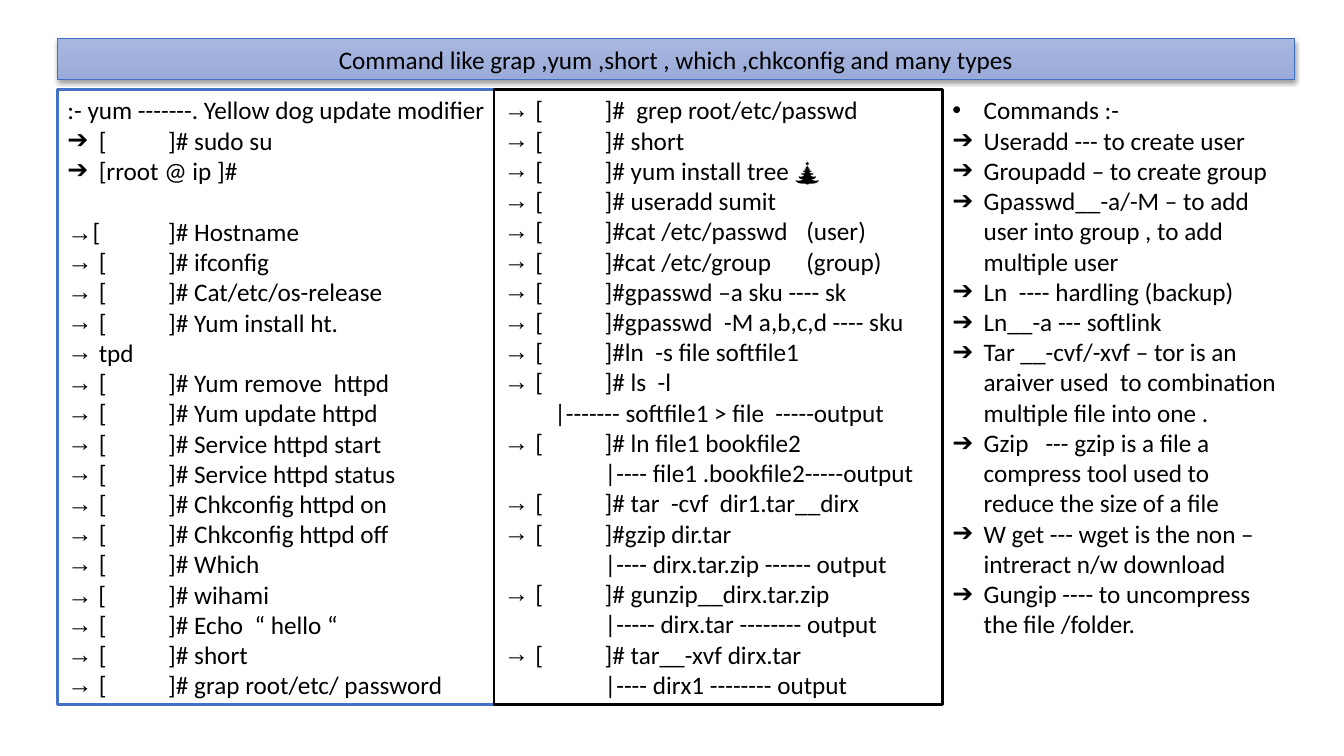
from dataclasses import dataclass

from lxml import etree
from pptx import Presentation
from pptx import util as u
from pptx.dml.color import RGBColor
from pptx.enum import shapes, text
from pptx.oxml import parse_xml
from pptx.oxml.ns import nsdecls, qn

BLACK = RGBColor(0x00, 0x00, 0x00)
WHITE = RGBColor(0xFF, 0xFF, 0xFF)
BLUE = RGBColor(0x44, 0x72, 0xC4)
BANNER_EDGE = RGBColor(0x3F, 0x6F, 0xC3)
BANNER_TOP = RGBColor(0xA8, 0xB7, 0xDF)
BANNER_BOTTOM = RGBColor(0x9A, 0xAB, 0xD9)

FONT_SIZE = u.Pt(18)
HANGING = u.Cm(0.79)
TAB_WIDTH = u.Cm(2.54)


@dataclass
class Line:
    words: str
    bullet: str = "→"
    lead: str = ""
    indent: float = 0
    gap: float = 0


def prompt(command, **options):
    return Line("[\t]#" + command, **options)


def output(words):
    return Line("\t|" + words, bullet="")


def heavy(words):
    return Line(words, bullet="➔")


SERVICE_COMMANDS = [
    Line(":- yum -------. Yellow dog update modifier", bullet=""),
    prompt(" sudo su", bullet="➔"),
    heavy("[rroot @ ip ]#"),
    prompt(" Hostname", bullet="", lead="→", gap=22),
    prompt(" ifconfig"),
    prompt(" Cat/etc/os-release"),
    prompt(" Yum install ht."),
    Line("tpd"),
    prompt(" Yum remove  httpd"),
    prompt(" Yum update httpd"),
    prompt(" Service httpd start"),
    prompt(" Service httpd status"),
    prompt(" Chkconfig httpd on"),
    prompt(" Chkconfig httpd off"),
    prompt(" Which"),
    Line(" [\t]# wihami", bullet="", lead="→"),
    prompt(" Echo  “ hello “"),
    prompt(" short"),
    prompt(" grap root/etc/ password"),
]

FILE_COMMANDS = [
    prompt("  grep root/etc/passwd"),
    prompt(" short"),
    prompt(" yum install tree 🎄"),
    prompt(" useradd sumit"),
    prompt("cat /etc/passwd \t(user)"),
    prompt("cat /etc/group \t(group)"),
    prompt("gpasswd –a sku ---- sk"),
    prompt("gpasswd  -M a,b,c,d ---- sku"),
    prompt("ln  -s file softfile1"),
    prompt(" ls  -l"),
    Line("|------- softfile1 > file  -----output", bullet="", indent=1.27),
    prompt(" ln file1 bookfile2"),
    output("---- file1 .bookfile2-----output"),
    prompt(" tar  -cvf  dir1.tar__dirx"),
    prompt("gzip dir.tar"),
    output("---- dirx.tar.zip ------ output"),
    prompt(" gunzip__dirx.tar.zip"),
    output("----- dirx.tar -------- output"),
    prompt(" tar__-xvf dirx.tar"),
    output("---- dirx1 -------- output"),
]

COMMAND_MEANINGS = [
    Line("Commands :-", bullet="•"),
    heavy("Useradd --- to create user"),
    heavy("Groupadd – to create group"),
    heavy("Gpasswd__-a/-M – to add user into group , to add multiple user"),
    heavy("Ln  ---- hardling (backup)"),
    heavy("Ln__-a --- softlink"),
    heavy("Tar __-cvf/-xvf – tor is an araiver used  to combination multiple file into one ."),
    heavy("Gzip   --- gzip is a file a compress tool used to reduce the size of a file"),
    heavy("W get --- wget is the non – intreract n/w download"),
    heavy("Gungip ---- to uncompress the file /folder."),
]


def add_span(para, words, font="Calibri"):
    span = para.add_run()
    span.text = words
    span.font.name = font
    span.font.size = FONT_SIZE
    span.font.color.rgb = BLACK


def format_line(para, line):
    """Set indent, tab width and bullet, then write the runs."""
    para.alignment = text.PP_ALIGN.LEFT
    para.space_before = u.Pt(line.gap)
    properties = para._p.get_or_add_pPr()
    properties.set("defTabSz", str(TAB_WIDTH))
    if line.bullet:
        properties.set("marL", str(HANGING))
        properties.set("indent", str(-HANGING))
        color = etree.SubElement(properties, qn("a:buClr"))
        etree.SubElement(color, qn("a:srgbClr"), val=str(BLACK))
        etree.SubElement(properties, qn("a:buFont"), typeface="Arial")
        etree.SubElement(properties, qn("a:buChar"), char=line.bullet)
    else:
        properties.set("marL", str(u.Cm(line.indent)))
        properties.set("indent", "0")
    if line.lead:
        add_span(para, line.lead, "Arial")
    add_span(para, line.words)


def add_banner(page, left, top, width, height):
    banner = page.shapes.title
    banner.left, banner.top, banner.width, banner.height = left, top, width, height
    banner.fill.gradient()
    banner.fill.gradient_angle = 270
    for stop, color in zip(banner.fill.gradient_stops, (BANNER_TOP, BANNER_BOTTOM)):
        stop.color.rgb = color
    banner.line.color.rgb = BANNER_EDGE
    banner.line.width = u.Pt(0.75)
    banner._element.spPr.append(parse_xml(
        f'<a:effectLst {nsdecls("a")}><a:outerShdw blurRad="{u.Pt(3.1)}" dist="{u.Pt(1.6)}" '
        'dir="5400000" rotWithShape="0"><a:srgbClr val="000000"><a:alpha val="38000"/>'
        '</a:srgbClr></a:outerShdw></a:effectLst>'))
    frame = banner.text_frame
    frame.auto_size = text.MSO_AUTO_SIZE.NONE
    frame.vertical_anchor = text.MSO_ANCHOR.MIDDLE
    para = frame.paragraphs[0]
    para.alignment = text.PP_ALIGN.CENTER
    add_span(para, "Command like grap ,yum ,short , which ,chkconfig and many types")


def add_column(page, left, top, width, height, lines, edge=None):
    """Add a list of lines, in a bordered panel when an edge colour is given."""
    if edge is None:
        box = page.shapes.add_textbox(left, top, width, height)
    else:
        box = page.shapes.add_shape(shapes.MSO_SHAPE.RECTANGLE, left, top, width, height)
        box.shadow.inherit = False
        box.fill.solid()
        box.fill.fore_color.rgb = WHITE
        box.line.color.rgb = edge
        box.line.width = u.Pt(2)
    frame = box.text_frame
    frame.word_wrap = True
    frame.vertical_anchor = text.MSO_ANCHOR.TOP
    for number, line in enumerate(lines):
        para = frame.add_paragraph() if number else frame.paragraphs[0]
        format_line(para, line)


def main():
    deck = Presentation()
    deck.slide_width, deck.slide_height = u.Cm(33.87), u.Cm(19.05)
    page = deck.slides.add_slide(deck.slide_layouts.get_by_name("Title Only"))
    left, top, panel_height = u.Cm(1.45), u.Cm(2.26), u.Cm(15.49)
    add_banner(page, left, u.Cm(0.98), u.Cm(31.17), u.Cm(1.02))
    add_column(page, left, top, u.Cm(11.35), panel_height, SERVICE_COMMANDS, BLUE)
    add_column(page, u.Cm(12.45), top, u.Cm(11.3), panel_height, FILE_COMMANDS, BLACK)
    add_column(page, u.Cm(23.75), top, u.Cm(8.86), u.Cm(13.97), COMMAND_MEANINGS)
    deck.save("out.pptx")


if __name__ == "__main__":
    main()
